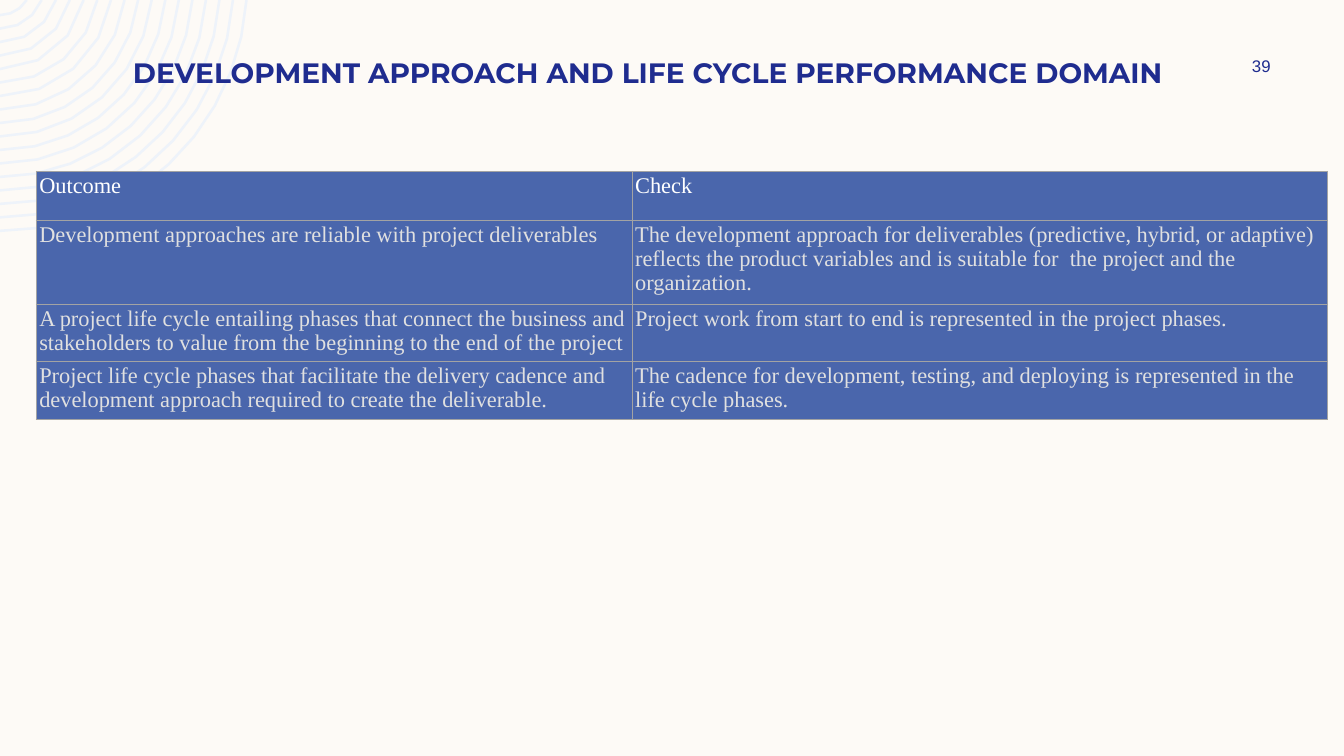
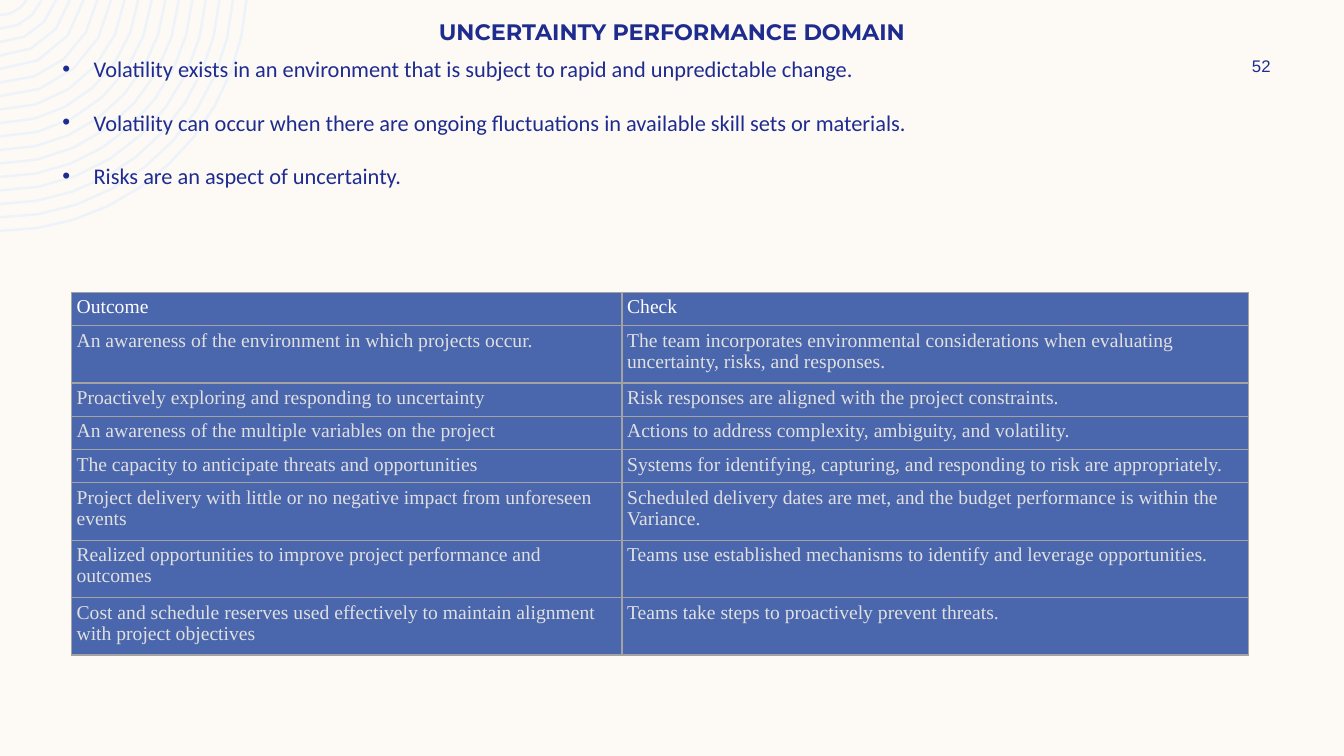
from math import asin, cos, pi, sin

from pptx import Presentation
from pptx.dml.color import RGBColor
from pptx.enum.text import MSO_ANCHOR, PP_ALIGN
from pptx.oxml import parse_xml
from pptx.oxml.ns import nsdecls
from pptx.util import Inches, Pt

CREAM = RGBColor(0xFD, 0xFA, 0xF6)
PALE_BLUE = RGBColor(0xEE, 0xF3, 0xFA)
NAVY = RGBColor(0x1F, 0x2C, 0x8F)
CELL_BLUE = RGBColor(0x4A, 0x66, 0xAC)
WHITE = RGBColor(0xFF, 0xFF, 0xFF)
LIGHT_GRAY = RGBColor(0xE0, 0xE0, 0xE0)
BORDER_GRAY = RGBColor(0xA3, 0xA3, 0xA3)

RING_COUNT, SMALLEST_RADIUS, LARGEST_RADIUS = 17, 0.31, 2.45
RING_CENTER_Y, STEPS_PER_INCH = -0.16, 4
ONE_LINE, TWO_LINES = 0.33, 0.57

SLIDES = [
    {
        "title": "DEVELOPMENT APPROACH AND LIFE CYCLE PERFORMANCE DOMAIN",
        "title_box": (0.59, 0.5, 11.67, 0.84),
        "title_size": 20,
        "number": "39",
        "bullets": [],
        "table": {
            "corner": (0.36, 1.7),
            "columns": (5.91, 6.9),
            "heights": (0.49, 0.8, 0.56, 0.56),
            "inset": 0.03,
            "size": 16,
            "rows": [
                ("Outcome", "Check"),
                ("Development approaches are reliable with project deliverables",
                 "The development approach for deliverables (predictive, hybrid, or adaptive) "
                 "reflects the product variables and is suitable for  the project and the "
                 "organization."),
                ("A project life cycle entailing phases that connect the business and "
                 "stakeholders to value from the beginning to the end of the project",
                 "Project work from start to end is represented in the project phases."),
                ("Project life cycle phases that facilitate the delivery cadence and "
                 "development approach required to create the deliverable.",
                 "The cadence for development, testing, and deploying is represented in the "
                 "life cycle phases."),
            ],
        },
    },
    {
        "title": "UNCERTAINTY PERFORMANCE DOMAIN",
        "title_box": (0.83, 0.13, 11.67, 0.45),
        "title_size": 16,
        "number": "52",
        "bullets": [
            "Volatility exists in an environment that is subject to rapid and "
            "unpredictable change.",
            "Volatility can occur when there are ongoing fluctuations in available "
            "skill sets or materials.",
            "Risks are an aspect of uncertainty.",
        ],
        "table": {
            "corner": (0.71, 2.9),
            "columns": (5.46, 6.21),
            "heights": (ONE_LINE, TWO_LINES) + (ONE_LINE,) * 3 + (TWO_LINES,) * 3,
            "inset": 0.05,
            "size": 14,
            "rows": [
                ("Outcome", "Check"),
                ("An awareness of the environment in which projects occur.",
                 "The team incorporates environmental considerations when evaluating "
                 "uncertainty, risks, and responses."),
                ("Proactively exploring and responding to uncertainty",
                 "Risk responses are aligned with the project constraints."),
                ("An awareness of the multiple variables on the project",
                 "Actions to address complexity, ambiguity, and volatility."),
                ("The capacity to anticipate threats and opportunities",
                 "Systems for identifying, capturing, and responding to risk are "
                 "appropriately."),
                ("Project delivery with little or no negative impact from unforeseen events",
                 "Scheduled delivery dates are met, and the budget performance is within "
                 "the Variance."),
                ("Realized opportunities to improve project performance and outcomes",
                 "Teams use established mechanisms to identify and leverage opportunities."),
                ("Cost and schedule reserves used effectively to maintain alignment with "
                 "project objectives",
                 "Teams take steps to proactively prevent threats."),
            ],
        },
    },
]


def add_run(paragraph, text, font_name, size, color, bold=False):
    run = paragraph.add_run()
    run.text = text
    run.font.name = font_name
    run.font.size = Pt(size)
    run.font.bold = bold
    run.font.color.rgb = color


def add_text_frame(slide, box):
    frame = slide.shapes.add_textbox(*map(Inches, box)).text_frame
    frame.word_wrap = True
    return frame


def add_heading(slide, box, text, font_name, size, bold=False, anchor=MSO_ANCHOR.TOP):
    frame = add_text_frame(slide, box)
    frame.vertical_anchor = anchor
    paragraph = frame.paragraphs[0]
    paragraph.alignment = PP_ALIGN.CENTER
    add_run(paragraph, text, font_name, size, NAVY, bold)


def add_bullets(slide, bullets):
    frame = add_text_frame(slide, (0.52, 0.5, 11.85, 1.45))
    for index, text in enumerate(bullets):
        paragraph = frame.add_paragraph() if index else frame.paragraphs[0]
        properties = paragraph._p.get_or_add_pPr()
        properties.set("marL", str(Inches(0.31)))
        properties.set("indent", str(-Inches(0.31)))
        properties.append(parse_xml(f'<a:buFont {nsdecls("a")} typeface="Arial"/>'))
        properties.append(parse_xml(f'<a:buChar {nsdecls("a")} char="•"/>'))
        if index:
            paragraph.space_before = Pt(19)
        add_run(paragraph, text, "Calibri", 16, NAVY)


def add_borders(cell):
    properties = cell._tc.get_or_add_tcPr()
    for side in "LRTB":
        properties.append(parse_xml(
            f'<a:ln{side} {nsdecls("a")} w="{Pt(1)}"><a:solidFill>'
            f'<a:srgbClr val="{BORDER_GRAY}"/></a:solidFill></a:ln{side}>'))


def add_outcome_table(slide, corner, columns, heights, inset, size, rows):
    table = slide.shapes.add_table(
        len(rows), len(columns), *map(Inches, corner),
        Inches(sum(columns)), Inches(sum(heights))).table
    table.first_row = table.horz_banding = False
    for column, width in zip(table.columns, columns):
        column.width = Inches(width)
    for r, (texts, height) in enumerate(zip(rows, heights)):
        table.rows[r].height = Inches(height)
        for c, text in enumerate(texts):
            cell = table.cell(r, c)
            cell.margin_left = cell.margin_right = Inches(inset)
            cell.margin_top = cell.margin_bottom = Inches(inset)
            add_borders(cell)
            cell.fill.solid()
            cell.fill.fore_color.rgb = CELL_BLUE
            paragraph = cell.text_frame.paragraphs[0]
            paragraph.line_spacing = 0.96
            add_run(paragraph, text, "Times New Roman", size, LIGHT_GRAY if r else WHITE)


def arc_points(radius):
    start = asin(-RING_CENTER_Y / radius)
    steps = max(3, round(radius * STEPS_PER_INCH))
    angles = [start + (pi / 2 - start) * step / steps for step in range(steps + 1)]
    return [(Inches(radius * cos(a)), Inches(RING_CENTER_Y + radius * sin(a))) for a in angles]


def add_rings(slide):
    gap = (LARGEST_RADIUS - SMALLEST_RADIUS) / (RING_COUNT - 1)
    arcs = [arc_points(LARGEST_RADIUS - index * gap) for index in range(RING_COUNT)]
    builder = slide.shapes.build_freeform(*arcs[0][0], scale=1.0)
    for index, (start, *others) in enumerate(arcs):
        if index:
            builder.move_to(*start)
        builder.add_line_segments(others, close=False)
    rings = builder.convert_to_shape()
    rings.shadow.inherit = False
    rings.fill.background()
    rings.line.color.rgb = PALE_BLUE
    rings.line.width = Pt(1.8)
    return rings


def style_layout(layout, slide):
    layout.background.fill.solid()
    layout.background.fill.fore_color.rgb = CREAM
    layout.shapes.element.append(add_rings(slide).element)


def main():
    deck = Presentation()
    deck.slide_width, deck.slide_height = Inches(13.33), Inches(7.5)
    blank = deck.slide_layouts[6]
    for index, content in enumerate(SLIDES):
        slide = deck.slides.add_slide(blank)
        if index == 0:
            style_layout(blank, slide)
        add_heading(slide, content["title_box"], content["title"], "Montserrat",
                    content["title_size"], bold=True)
        add_heading(slide, (11.97, 0.5, 1.08, 0.3), content["number"], "Arial", 12,
                    anchor=MSO_ANCHOR.MIDDLE)
        if content["bullets"]:
            add_bullets(slide, content["bullets"])
        add_outcome_table(slide, **content["table"])
    deck.save("out.pptx")


if __name__ == "__main__":
    main()
